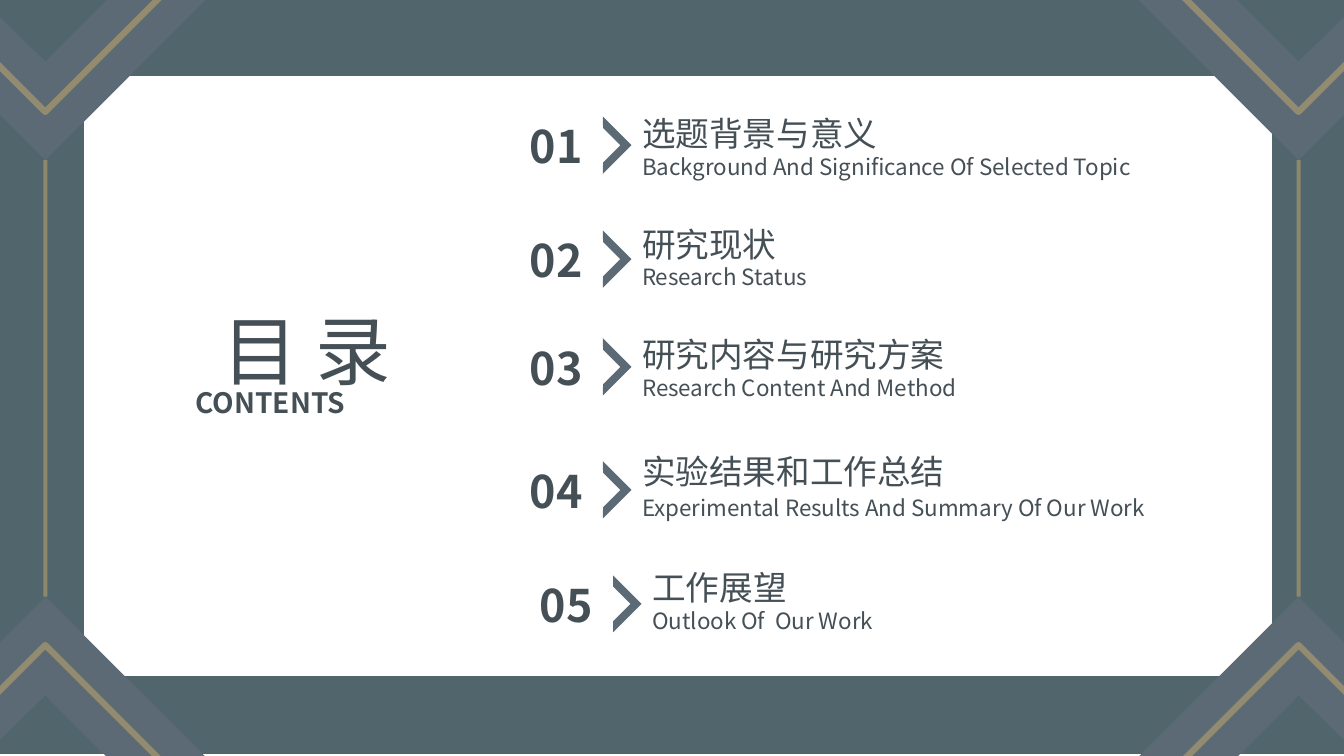
from lxml import etree
from pptx import Presentation
from pptx.dml.color import RGBColor
from pptx.enum.shapes import MSO_CONNECTOR, MSO_SHAPE
from pptx.enum.text import MSO_AUTO_SIZE, PP_ALIGN
from pptx.oxml.ns import qn
from pptx.util import Pt

PX = 9144
WIDE, HIGH = 1333, 750
RECT, FRAME = MSO_SHAPE.RECTANGLE, MSO_SHAPE.HALF_FRAME
STRAIGHT = MSO_CONNECTOR.STRAIGHT
FIT = MSO_AUTO_SIZE.SHAPE_TO_FIT_TEXT
LEFT, CENTER, JUSTIFY = PP_ALIGN.LEFT, PP_ALIGN.CENTER, PP_ALIGN.JUSTIFY

TEAL, SLATE, GOLD, INK, WHITE = "50666C", "5B6A74", "D7B26C", "444F56", "FFFFFF"
BAND = [(106, 0), (204, 0), (45, 159), (0, 114), (0, 17), (45, 61)]
TRIM = [(-4, -6), (162, -6), (45, 111), (-4, 62)]
ROWS = [
    ("01", "选题背景与意义", "Background And Significance Of Selected Topic",
     502, 124, 107, 273, 147, 575),
    ("02", "研究现状", "Research Status", 502, 237, 217, 273, 256, 373),
    ("03", "研究内容与研究方案", "Research Content And Method",
     502, 344, 326, 352, 366, 479),
    ("04", "实验结果和工作总结", "Experimental Results And Summary Of Our Work",
     502, 466, 442, 352, 485, 597),
    ("05", "工作展望", "Outlook Of  Our Work", 512, 579, 558, 352, 597, 597),
]


def color(code):
    return RGBColor.from_string(code)


class Page:
    """Draws styled elements on one slide, with lengths in px."""

    def __init__(self, slide, font, ink):
        self.shapes = slide.shapes
        self.font = font
        self.ink = ink

    def paint(self, shape, fill, line=None, width=1):
        shape.shadow.inherit = False
        if fill:
            shape.fill.solid()
            shape.fill.fore_color.rgb = color(fill)
        else:
            shape.fill.background()
        if line:
            shape.line.color.rgb = color(line)
            shape.line.width = Pt(width)
        else:
            shape.line.fill.background()

    def fade(self, shape, share):
        tint = shape.line._ln.find(".//" + qn("a:srgbClr"))
        etree.SubElement(tint, qn("a:alpha"), val=str(share * 1000))

    def box(self, kind, x, y, w, h, fill, line=None):
        shape = self.shapes.add_shape(kind, x * PX, y * PX, w * PX, h * PX)
        self.paint(shape, fill, line)
        return shape

    def mark(self, x, y):
        shape = self.box(FRAME, x, y, 40, 40, SLATE)
        shape.adjustments[0] = 0.194
        shape.adjustments[1] = 0.197
        shape.rotation = 135

    def form(self, points, fill, line=None, width=1):
        maker = self.shapes.build_freeform(*points[0], scale=PX)
        maker.add_line_segments(points[1:], close=True)
        shape = maker.convert_to_shape()
        self.paint(shape, fill, line, width)
        return shape

    def rule(self, x, top, end):
        line = self.shapes.add_connector(STRAIGHT, x * PX, top * PX, x * PX, end * PX)
        line.line.color.rgb = color(GOLD)
        line.line.width = Pt(3)
        self.fade(line, 45)
        etree.SubElement(line._element.spPr, qn("a:effectLst"))

    def text(self, words, x, y, w, h, size, align=LEFT, bold=False):
        frame = self.shapes.add_textbox(x * PX, y * PX, w * PX, h * PX).text_frame
        frame.word_wrap = True
        frame.auto_size = FIT
        frame.text = words
        para = frame.paragraphs[0]
        para.alignment = align
        run = para.runs[0]
        run.font.size = Pt(size)
        run.font.bold = bold
        run.font.color.rgb = color(self.ink)
        run.font.name = self.font
        etree.SubElement(run.font._element, qn("a:ea"), typeface=self.font)


def main():
    deck = Presentation()
    deck.slide_width = WIDE * PX
    deck.slide_height = HIGH * PX
    slide = deck.slides.add_slide(deck.slide_layouts[6])
    page = Page(slide, "Noto Sans CJK SC", INK)

    page.box(RECT, 0, -2, WIDE, HIGH, TEAL)
    page.box(RECT, 84, 76, 1177, 594, WHITE, WHITE)

    for right in (True, False):
        for low in (False, True):
            band, trim = (
                [(WIDE - x if right else x, HIGH + 1 - y if low else y)
                 for x, y in points]
                for points in (BAND, TRIM)
            )
            page.form(band, SLATE)
            page.fade(page.form(trim, None, GOLD, 4.5), 45)
    for x in (45, WIDE - 45):
        page.rule(x, 159, 592)

    page.text("目 录", 184, 297, 241, 101, 54, CENTER)
    page.text("CONTENTS", 184, 378, 240, 44, 20, JUSTIFY, True)

    for num, title, sub, x, mid, top, wide, low, span in ROWS:
        page.mark(x + 76, mid)
        page.text(num, x, mid - 11, 99, 64, 32, CENTER, True)
        page.text(title, x + 125, top, wide, 50, 24)
        page.text(sub, x + 125, low, span, 37, 16)

    deck.save("out.pptx")


if __name__ == "__main__":
    main()
